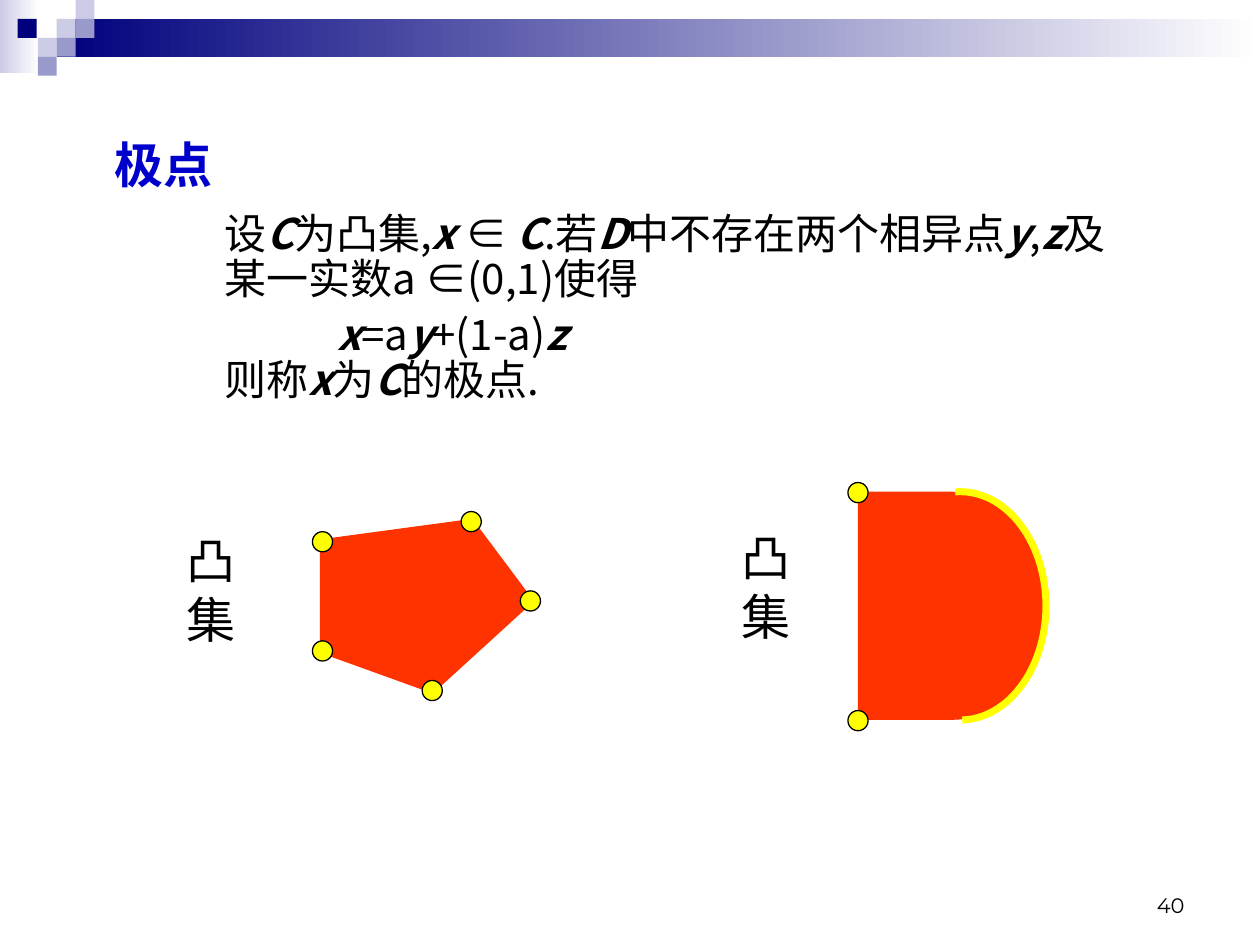
from typing import NamedTuple

from pptx import Presentation
from pptx.dml.color import RGBColor
from pptx.enum.shapes import MSO_SHAPE
from pptx.enum.text import MSO_ANCHOR, PP_ALIGN
from pptx.oxml.ns import qn
from pptx.util import Pt

RECTANGLE, ELLIPSE = MSO_SHAPE.RECTANGLE, MSO_SHAPE.OVAL
DELAY, ARC = MSO_SHAPE.FLOWCHART_DELAY, MSO_SHAPE.ARC
TOP, MIDDLE, BOTTOM = MSO_ANCHOR.TOP, MSO_ANCHOR.MIDDLE, MSO_ANCHOR.BOTTOM
LEFT, RIGHT = PP_ALIGN.LEFT, PP_ALIGN.RIGHT

CHINESE_FONT, NUMBER_FONT = "Noto Sans CJK SC", "Montserrat"
COLORS = {
    "white": "FFFFFF", "black": "000000", "navy": "00007D", "lilac": "9999CC",
    "pale": "CCCCE6", "title": "0000CC", "red": "FF3300", "yellow": "FFFF00",
}
SQUARE = 10.8
DOT = 11.5


class Box(NamedTuple):
    """Position and size in points."""
    left: float
    top: float
    width: float
    height: float


class Square(NamedTuple):
    """A header square: left edge, grid row and colour."""
    left: float
    row: int
    color: str


class Run(NamedTuple):
    """A piece of text; symbols are bold italic."""
    text: str
    symbol: bool = False


HEADER_SQUARES = [
    Square(32.4, 1, "pale"), Square(43.2, 0, "pale"), Square(43.2, 1, "lilac"),
    Square(21.6, 2, "pale"), Square(10.1, 1, "navy"), Square(32.4, 2, "lilac"),
    Square(21.6, 3, "lilac"),
]
PENTAGON = [(184.3, 309.6), (184.3, 372), (247, 394.6), (303.1, 343.4), (269.3, 298.1)]
HALF_DISC_CORNERS = [(490.3, 281.5), (490.3, 411.8)]
CONDITION = [
    Run("设"), Run("C", True), Run("为凸集,"), Run("x ", True), Run("∈"),
    Run(" C", True), Run(".若"), Run("D", True), Run("中不存在两个相异点"),
    Run("y", True), Run(","), Run("z", True), Run("及某一实数a ∈(0,1)使得"),
]
CONCLUSION = [
    Run("x", True), Run("=a"), Run("y", True), Run("+(1-a)"), Run("z", True),
    Run("\v"), Run("则称"), Run("x", True), Run("为"), Run("C", True), Run("的极点."),
]


def rgb(name):
    """Return a named colour."""
    return RGBColor.from_string(COLORS[name])


def add_figure(slide, kind, box: Box, fill=None, line=None, weight: float = 0):
    """Add a preset shape with an optional solid fill and outline."""
    shape = slide.shapes.add_shape(kind, *map(Pt, box))
    style_figure(shape, fill, line, weight)
    return shape


def style_figure(shape, fill, line, weight: float) -> None:
    """Set the fill and outline of a shape."""
    shape.shadow.inherit = False
    if fill:
        shape.fill.solid()
        shape.fill.fore_color.rgb = rgb(fill)
    else:
        shape.fill.background()
    if line:
        shape.line.color.rgb = rgb(line)
        shape.line.width = Pt(weight)
    else:
        shape.line.fill.background()


def add_gradient(slide, box: Box, start: str) -> None:
    """Add a bar that fades to white from left to right."""
    fill = add_figure(slide, RECTANGLE, box).fill
    fill.gradient()
    fill.gradient_angle = 0
    for stop, color in zip(fill.gradient_stops, (start, "white")):
        stop.color.rgb = rgb(color)


def add_dots(slide, centers) -> None:
    """Mark each extreme point with a yellow dot."""
    for x, y in centers:
        box = Box(x - DOT / 2, y - DOT / 2, DOT, DOT)
        add_figure(slide, ELLIPSE, box, "yellow", "black", 0.74)


def add_frame(slide, box: Box, anchor=TOP):
    """Add an empty wrapping text box and return its text frame."""
    frame = slide.shapes.add_textbox(*map(Pt, box)).text_frame
    frame.word_wrap = True
    frame.vertical_anchor = anchor
    return frame


def format_run(run, size: float, color="black", font=CHINESE_FONT) -> None:
    """Set size, colour and both Latin and East Asian fonts."""
    run.font.size = Pt(size)
    run.font.color.rgb = rgb(color)
    run.font.name = font
    east_asian = run.font._element.makeelement(qn("a:ea"), {"typeface": font})
    run.font._element.find(qn("a:latin")).addnext(east_asian)


def add_label(slide, text: str, box: Box, size: float, color="black",
              font=CHINESE_FONT, anchor=TOP, align=LEFT, bold=False) -> None:
    """Add a text box with a single run."""
    paragraph = add_frame(slide, box, anchor).paragraphs[0]
    paragraph.text = text
    paragraph.alignment = align
    run = paragraph.runs[0]
    format_run(run, size, color, font)
    run.font.bold = bold


def fill_paragraph(paragraph, runs, first_indent: float) -> None:
    """Write a paragraph of the definition."""
    paragraph.line_spacing = 0.9
    paragraph.space_before = Pt(6)
    properties = paragraph._p.get_or_add_pPr()
    properties.set("marL", str(Pt(27)))
    properties.set("indent", str(Pt(first_indent)))
    for part in runs:
        if part.text == "\v":
            paragraph.add_line_break()
            continue
        run = paragraph.add_run()
        run.text = part.text
        format_run(run, 24)
        run.font.bold = run.font.italic = part.symbol


def add_header(slide) -> None:
    """Draw the gradient bars and the squares at the top."""
    add_gradient(slide, Box(0, 0, 22.3, 41.8), "pale")
    add_gradient(slide, Box(32.4, SQUARE, 687.6, 2 * SQUARE), "navy")
    for square in HEADER_SQUARES:
        box = Box(square.left, square.row * SQUARE, SQUARE, SQUARE)
        add_figure(slide, RECTANGLE, box, square.color)


def add_definition(slide) -> None:
    """Write the title and the definition of an extreme point."""
    add_label(slide, "极点", Box(58.3, 69.8, 82.1, 48.2), 28, "title",
              anchor=MIDDLE, bold=True)
    frame = add_frame(slide, Box(94.3, 118.1, 564, 119.5))
    fill_paragraph(frame.paragraphs[0], CONDITION, 0)
    fill_paragraph(frame.add_paragraph(), CONCLUSION, 64.5)


def add_pentagon(slide) -> None:
    """Draw the convex pentagon and its extreme points."""
    start, *others = [(Pt(x), Pt(y)) for x, y in PENTAGON]
    builder = slide.shapes.build_freeform(*start)
    builder.add_line_segments(others, close=True)
    style_figure(builder.convert_to_shape(), "red", "red", 3)
    add_dots(slide, PENTAGON)
    add_label(slide, "凸集", Box(99.4, 299.5, 45.4, 74.9), 28)


def add_half_disc(slide) -> None:
    """Draw the rounded convex set, its extreme arc and corners."""
    add_figure(slide, DELAY, Box(490.3, 281, 108, 130.3), "red")
    arc = add_figure(slide, ARC, Box(499.7, 281, 98, 130.5), None, "yellow", 4)
    arc.adjustments[0] = 160.5
    arc.adjustments[1] = 53.4
    add_dots(slide, HALF_DISC_CORNERS)
    add_label(slide, "凸集", Box(416.9, 298.1, 45.4, 74.9), 28)


presentation = Presentation()
presentation.slide_width, presentation.slide_height = Pt(720), Pt(540)
slide = presentation.slides.add_slide(presentation.slide_layouts[6])
add_header(slide)
add_definition(slide)
add_pentagon(slide)
add_half_disc(slide)
add_label(slide, "40", Box(516.2, 491.8, 167.8, 36), 12, font=NUMBER_FONT,
          anchor=BOTTOM, align=RIGHT)
presentation.save("out.pptx")
